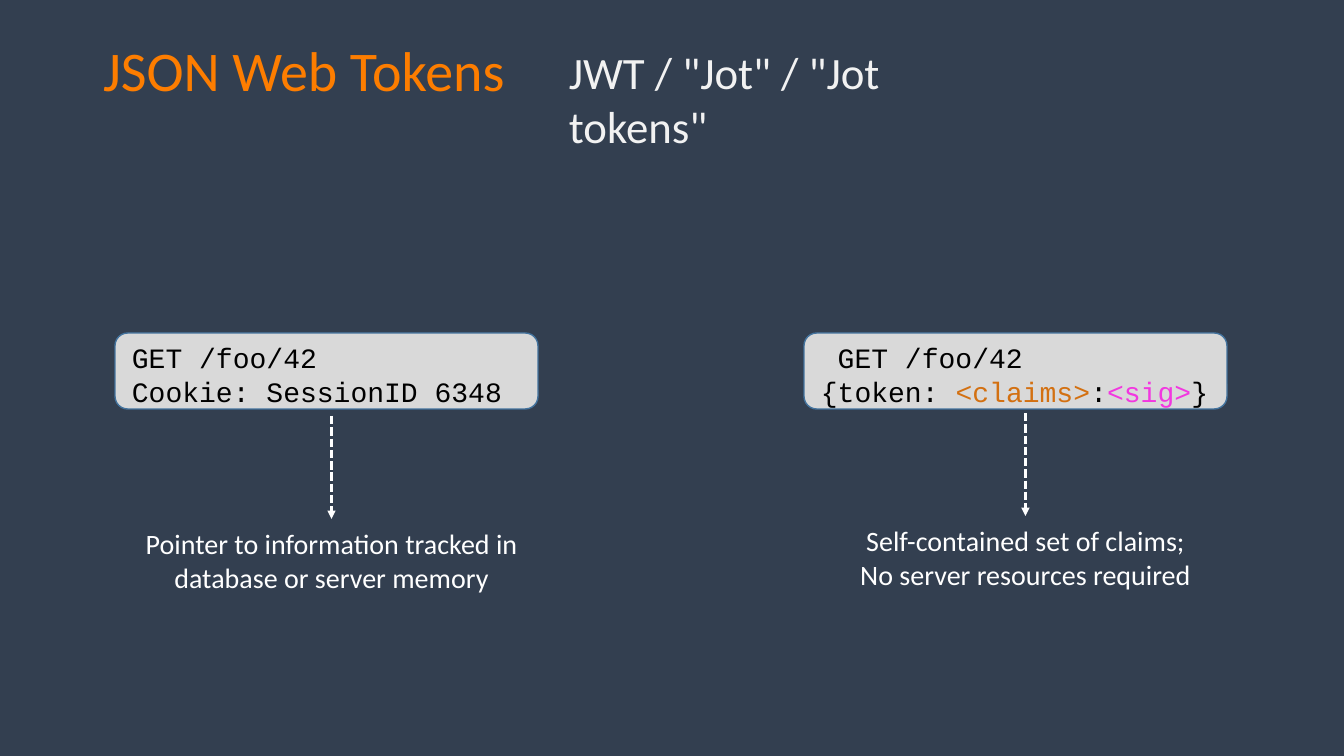
"""Build a slide comparing session cookies with JSON Web Tokens."""
from dataclasses import dataclass
from lxml import etree
from pptx import Presentation
from pptx.dml.color import RGBColor
from pptx.enum.dml import MSO_LINE
from pptx.enum.shapes import MSO_CONNECTOR, MSO_SHAPE
from pptx.enum.text import MSO_ANCHOR, MSO_AUTO_SIZE, PP_ALIGN
from pptx.oxml.ns import qn
from pptx.util import Emu, Pt

STRAIGHT = MSO_CONNECTOR.STRAIGHT
ROUNDED = MSO_SHAPE.ROUNDED_RECTANGLE
DASH = MSO_LINE.SQUARE_DOT
LEFT, CENTER = PP_ALIGN.LEFT, PP_ALIGN.CENTER
TOP, NO_FIT = MSO_ANCHOR.TOP, MSO_AUTO_SIZE.NONE


@dataclass(frozen=True)
class Theme:
    background: str = "333F50"
    title: str = "FD7D00"
    subtitle: str = "F2F2F2"
    light: str = "FFFFFF"
    card: str = "D9D9D9"
    border: str = "43739E"
    code: str = "000000"
    claims: str = "D37011"
    signature: str = "F237E0"
    sans: str = "Calibri"
    mono: str = "Courier New"
    title_size: int = 40
    subtitle_size: int = 32
    body_size: int = 20


THEME = Theme()
TITLE = "JSON Web Tokens"
SUBTITLE = 'JWT / "Jot" / "Jot tokens"'
REQUESTS = [
    {
        "card_x": 115, "caption_x": 135, "arrow_y": 416,
        "code": [[("GET /foo/42", THEME.code)],
                 [("Cookie: SessionID 6348", THEME.code)]],
        "caption": ["Pointer to information tracked in database or server memory"],
    },
    {
        "card_x": 804, "caption_x": 829, "arrow_y": 413,
        "code": [[(" GET /foo/42", THEME.code)],
                 [("{token: ", THEME.code), ("<claims>", THEME.claims),
                  (":", THEME.code), ("<sig>", THEME.signature),
                  ("}", THEME.code)]],
        "caption": ["Self-contained set of claims;", "No server resources required"],
    },
]

SLIDE_W, SLIDE_H = 1344, 756
CARD_Y, CARD_W, CARD_H = 333, 423, 76
CODE_DX, CODE_DY, CODE_W, TEXT_H = 7, 3, 410, 78
CAPTION_W, CAPTION_GAP, ARROW_H = 393, 3, 103


def px(n):
    return Emu(round(n * 914400 / 100.8))


def rgb(color):
    return RGBColor.from_string(color)


def write(shape, lines, font, size, align=LEFT):
    tf = shape.text_frame
    tf.word_wrap = True
    tf.auto_size = NO_FIT
    tf.vertical_anchor = TOP
    for i, line in enumerate(lines):
        p = tf.add_paragraph() if i else tf.paragraphs[0]
        p.alignment = align
        p.font.name, p.font.size = font, Pt(size)
        for text, color in line:
            r = p.add_run()
            r.text = text
            r.font.color.rgb = rgb(color)


def add_text(s, x, y, w, h, *args):
    write(s.shapes.add_textbox(px(x), px(y), px(w), px(h)), *args)


def add_card(s, x):
    sp = s.shapes.add_shape(ROUNDED, px(x), px(CARD_Y), px(CARD_W), px(CARD_H))
    sp.shadow.inherit = False
    sp.fill.solid()
    sp.fill.fore_color.rgb = rgb(THEME.card)
    sp.line.color.rgb = rgb(THEME.border)
    sp.line.width = Pt(1)


def add_arrow(s, x, y):
    c = s.shapes.add_connector(STRAIGHT, px(x), px(y), px(x), px(y + ARROW_H))
    c.line.color.rgb = rgb(THEME.light)
    c.line.width = Pt(2)
    c.line.dash_style = DASH
    etree.SubElement(c.line._get_or_add_ln(), qn("a:tailEnd"), type="triangle")
    etree.SubElement(c._element.spPr, qn("a:effectLst"))


def add_request(s, item):
    add_card(s, item["card_x"])
    add_text(s, item["card_x"] + CODE_DX, CARD_Y + CODE_DY, CODE_W, TEXT_H,
             item["code"], THEME.mono, THEME.body_size)
    add_arrow(s, item["caption_x"] + CAPTION_W / 2, item["arrow_y"])
    add_text(s, item["caption_x"], item["arrow_y"] + ARROW_H + CAPTION_GAP,
             CAPTION_W, TEXT_H, [[(line, THEME.light)] for line in item["caption"]],
             THEME.sans, THEME.body_size, CENTER)


def main():
    prs = Presentation()
    prs.slide_width, prs.slide_height = px(SLIDE_W), px(SLIDE_H)
    s = prs.slides.add_slide(prs.slide_layouts[5])
    s.background.fill.solid()
    s.background.fill.fore_color.rgb = rgb(THEME.background)

    title = s.shapes.title
    title.left, title.top, title.width, title.height = px(93), px(30), px(460), px(78)
    write(title, [[(TITLE, THEME.title)]], THEME.sans, THEME.title_size)
    add_text(s, 559, 40, 460, 65, [[(SUBTITLE, THEME.subtitle)]],
             THEME.sans, THEME.subtitle_size)
    for item in REQUESTS:
        add_request(s, item)
    prs.save("out.pptx")


if __name__ == "__main__":
    main()
